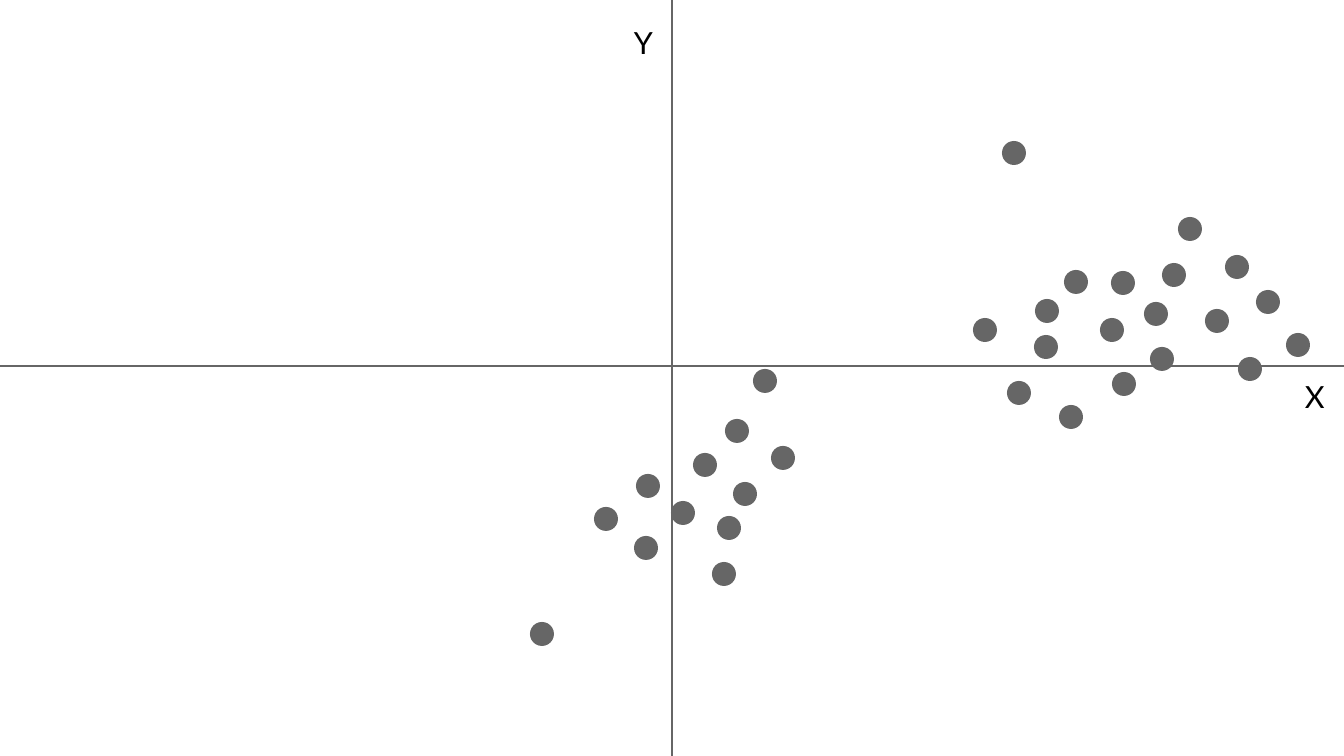
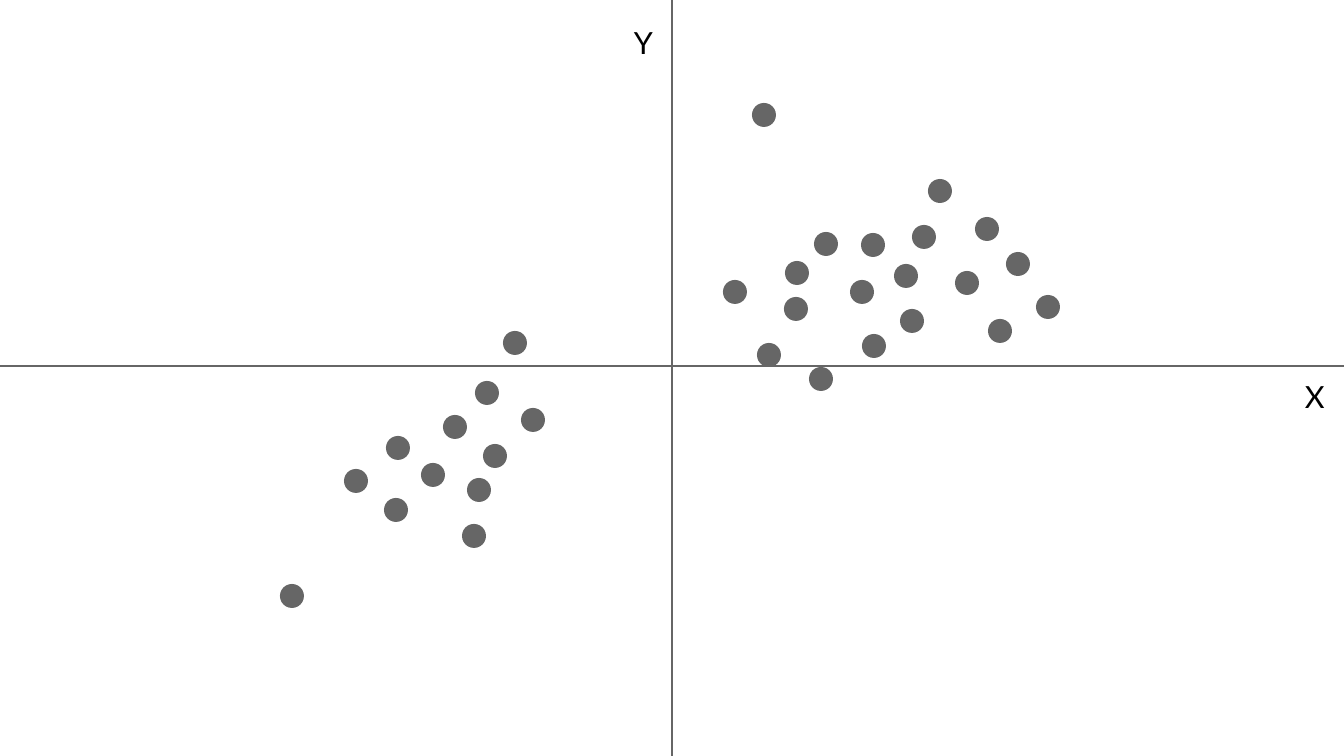
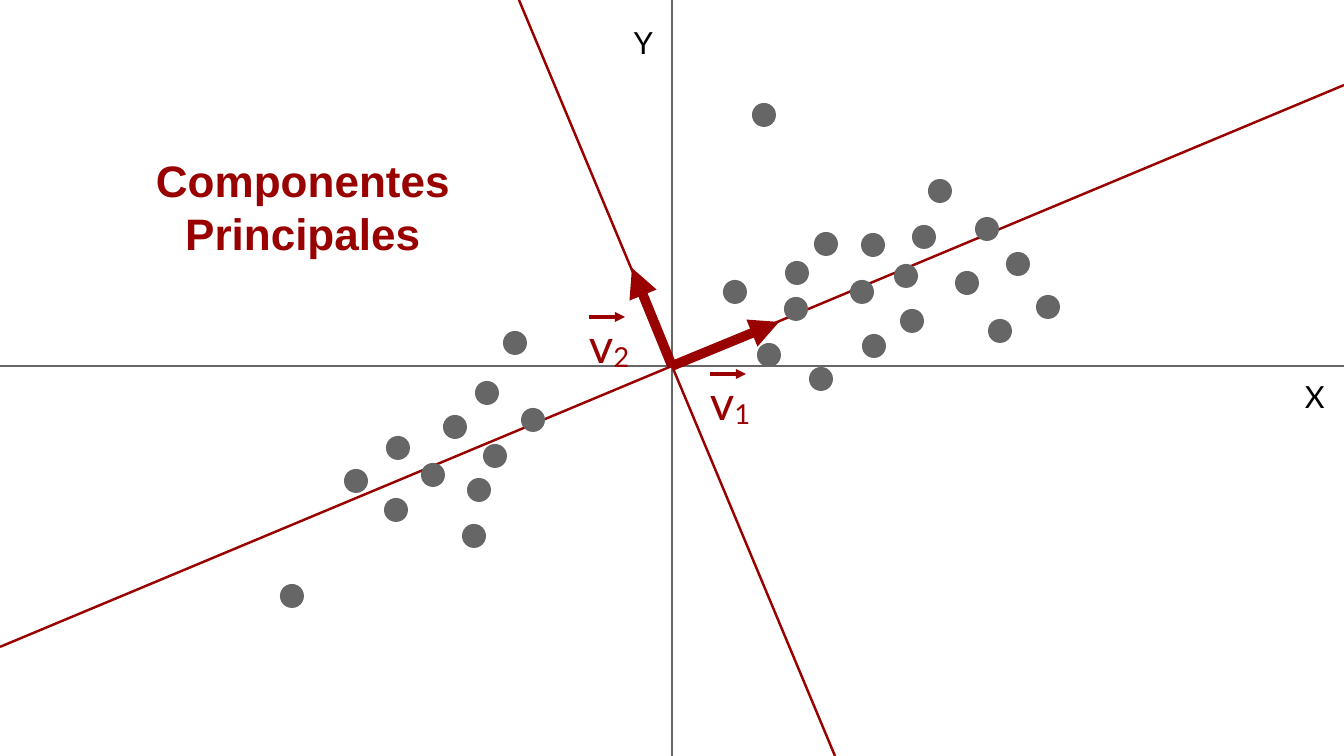
from lxml import etree
from pptx import Presentation
from pptx.dml.color import RGBColor
from pptx.enum.shapes import MSO_CONNECTOR, MSO_SHAPE
from pptx.enum.text import MSO_AUTO_SIZE, PP_ALIGN
from pptx.oxml.ns import qn
from pptx.util import Emu, Pt

STRAIGHT = MSO_CONNECTOR.STRAIGHT
OVAL = MSO_SHAPE.OVAL
FIT_SHAPE = MSO_AUTO_SIZE.SHAPE_TO_FIT_TEXT
LEFT, CENTER = PP_ALIGN.LEFT, PP_ALIGN.CENTER

GREY = RGBColor(0x66, 0x66, 0x66)
RED = RGBColor(0x99, 0x00, 0x00)
BLACK = RGBColor(0x00, 0x00, 0x00)

EMU_PER_PX = 7495
WIDTH, HEIGHT = 1344, 756
ORIGIN_X, ORIGIN_Y = 672, 366
DOT = 24
THIN, THICK, HAIRLINE = 1.45, 5.75, 0
SLOPE = 0.418

AXIS_LABELS = [("X", (1293, 372, 49, 49)), ("Y", (622, 18, 49, 49))]
RIGHT_CLUSTER = [
    (764, 115), (940, 191), (987, 229), (924, 237), (873, 245), (826, 244),
    (797, 273), (735, 292), (796, 309), (862, 292), (906, 276), (967, 283),
    (1018, 264), (1048, 307), (1000, 331), (912, 321), (874, 346),
    (769, 355), (821, 379),
]
LEFT_CLUSTER = [
    (515, 343), (487, 393), (533, 420), (455, 427), (398, 448), (433, 475),
    (495, 456), (479, 490), (356, 481), (396, 510), (474, 536), (292, 596),
]
CENTERED_DATA = RIGHT_CLUSTER + LEFT_CLUSTER
MEAN_X, MEAN_Y = 250, 38
RAW_DATA = [(x + MEAN_X, y + MEAN_Y) for x, y in CENTERED_DATA]

TITLE = "Componentes Principales"
TITLE_BOX = (110, 147, 386, 111)
EIGENVECTORS = [
    ("1", (779, 322), (698, 367)),
    ("2", (632, 268), (577, 310)),
]


def px(value):
    return Emu(round(value * EMU_PER_PX))


def add_line(slide, start, end, color, width=THIN, arrow=False):
    line = slide.shapes.add_connector(STRAIGHT, *map(px, (*start, *end)))
    line.line.color.rgb = color
    line.line.width = Pt(width)
    if arrow:
        etree.SubElement(line.line._get_or_add_ln(), qn("a:tailEnd"), type="triangle")
    etree.SubElement(line._element.spPr, qn("a:effectLst"))


def add_text(slide, text, box, size=18, font="Lato", color=BLACK, bold=False,
             align=LEFT, subscript="", spacing=None):
    frame = slide.shapes.add_textbox(*map(px, box)).text_frame
    frame.word_wrap = True
    frame.auto_size = FIT_SHAPE
    paragraph = frame.paragraphs[0]
    paragraph.alignment = align
    if spacing:
        paragraph.line_spacing = Pt(spacing)
    for part in filter(None, (text, subscript)):
        run = paragraph.add_run()
        run.text = part
        run.font.name = font
        run.font.size = Pt(size)
        run.font.bold = bold
        run.font.color.rgb = color
    if subscript:
        run._r.get_or_add_rPr().set("baseline", "-8000")


def add_dot(slide, x, y):
    corner = (x - DOT / 2, y - DOT / 2)
    dot = slide.shapes.add_shape(OVAL, *map(px, (*corner, DOT, DOT)))
    dot.shadow.inherit = False
    dot.fill.solid()
    dot.fill.fore_color.rgb = GREY
    dot.line.fill.background()


def add_scatter(slide, points):
    add_line(slide, (0, ORIGIN_Y), (WIDTH, ORIGIN_Y), GREY)
    add_line(slide, (ORIGIN_X, HEIGHT), (ORIGIN_X, 0), GREY)
    for x, y in points:
        add_dot(slide, x, y)
    for label, box in AXIS_LABELS:
        add_text(slide, label, box)


def add_first_component(slide):
    rise = ORIGIN_X * SLOPE
    add_line(slide, (0, ORIGIN_Y + rise), (WIDTH, ORIGIN_Y - rise), RED)


def add_second_component(slide):
    ends = [(ORIGIN_X + (y - ORIGIN_Y) * SLOPE, y) for y in (HEIGHT, 0)]
    add_line(slide, *ends, RED)


def add_eigenvector(slide, index, tip, label_corner):
    left, top = label_corner
    add_line(slide, (ORIGIN_X, ORIGIN_Y), tip, RED, THICK, arrow=True)
    add_text(slide, "v", (left, top, 68, 73), size=28, color=RED, subscript=index)
    add_line(slide, (left + 12, top + 7), (left + 48, top + 7), RED, HAIRLINE, arrow=True)


def main():
    deck = Presentation()
    deck.slide_width, deck.slide_height = px(WIDTH), px(HEIGHT)
    raw, centered, components = (
        deck.slides.add_slide(deck.slide_layouts[6]) for _ in range(3))

    add_scatter(raw, RAW_DATA)
    add_scatter(centered, CENTERED_DATA)

    add_first_component(components)
    add_scatter(components, CENTERED_DATA)
    add_second_component(components)
    for eigenvector in EIGENVECTORS:
        add_eigenvector(components, *eigenvector)
    add_text(components, TITLE, TITLE_BOX, size=26, font="Arial", color=RED,
             bold=True, align=CENTER, spacing=31.3)

    deck.save("out.pptx")


if __name__ == "__main__":
    main()
